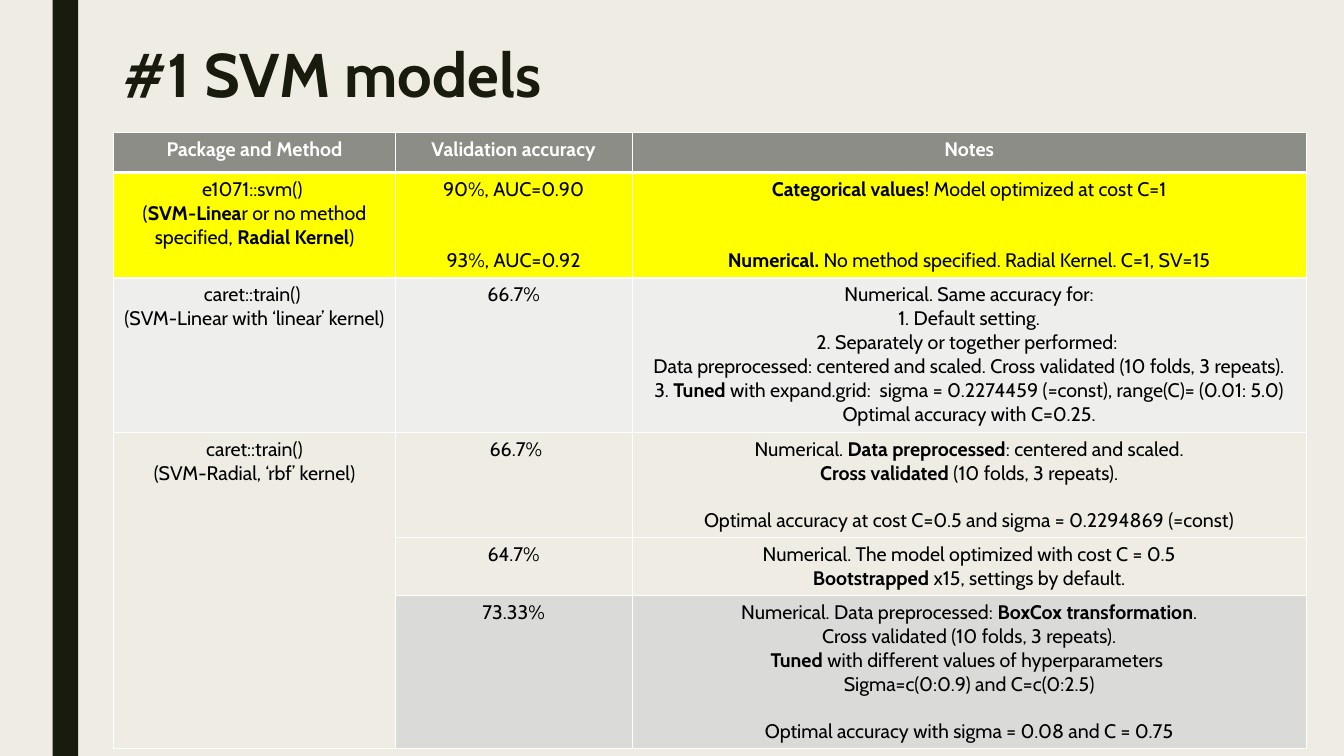
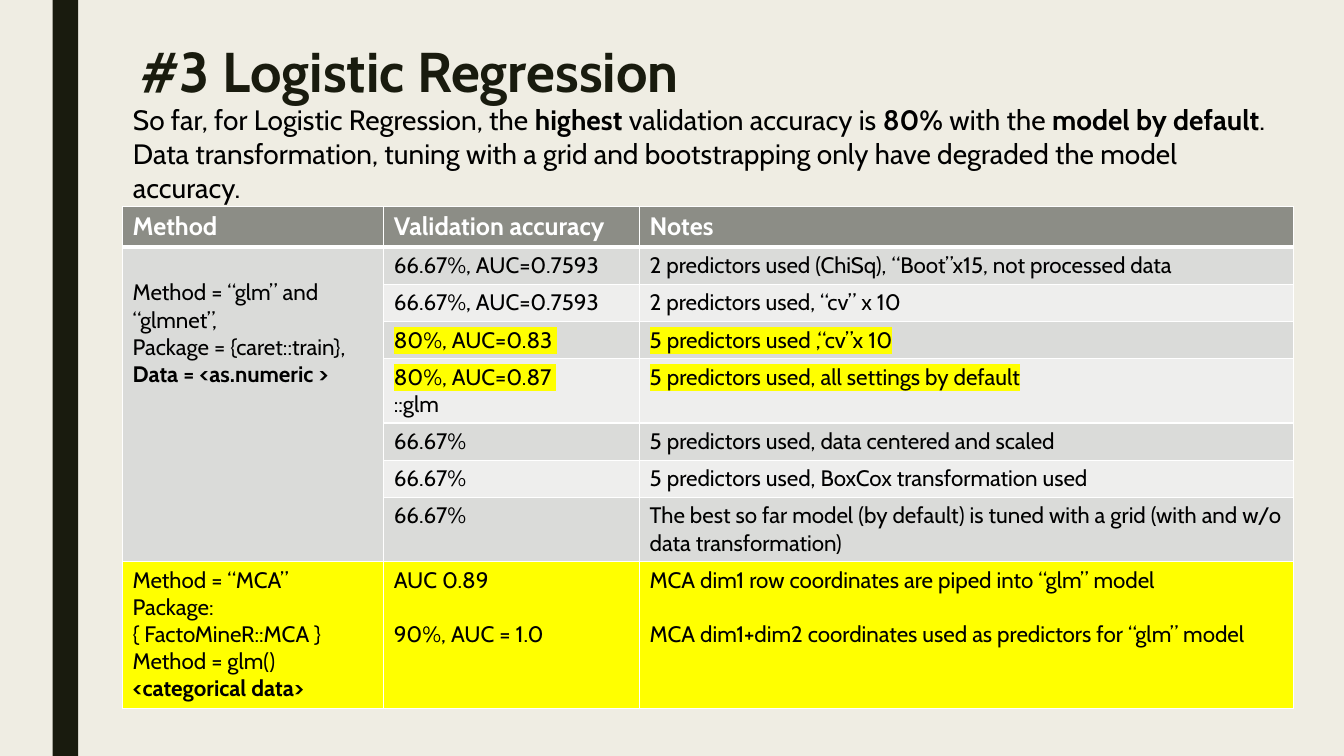
"""Build two slides that compare classification models in tables."""
from dataclasses import dataclass
from typing import Optional

from lxml.etree import SubElement as Sub
from pptx import Presentation
from pptx.dml.color import RGBColor as Rgb
from pptx.enum.shapes import MSO_SHAPE as Kind
from pptx.enum.text import MSO_ANCHOR as Anchor, MSO_AUTO_SIZE as Fit, PP_ALIGN as Align
from pptx.oxml.ns import qn
from pptx.util import Cm, Pt


@dataclass(frozen=True)
class Theme:
    font: str = "Cabin"
    paper: str = "EFEDE3"
    ink: str = "191B0E"
    head: str = "8C8D86"
    white: str = "FFFFFF"
    black: str = "000000"
    glow: str = "FFFF00"
    light: str = "EEEEED"
    dark: str = "DADBD9"
    lead: float = 1.21
    intro: int = 20


@dataclass(frozen=True)
class Cell:
    text: str
    gap: int = 0
    drop: int = 0
    mark: bool = False
    span: int = 1


@dataclass(frozen=True)
class Row:
    fill: str
    high: float
    cells: tuple[Optional[Cell], ...]


@dataclass(frozen=True)
class Grid:
    left: float
    top: float
    wide: tuple[float, ...]
    heads: tuple[str, ...]
    rows: tuple[Row, ...]
    size: int
    top_size: int
    align: Align


T = Theme()


def write(frame, text: str, *, size: int, color: str = T.black, bold: bool = False,
          align: Align = Align.LEFT, space: float = 1, gap: int = 0, mark: bool = False) -> None:
    """Write lines with **bold** parts, a gap before the last, a mark on the first."""
    lines = text.split("\n")
    for i, line in enumerate(lines):
        para = frame.paragraphs[0] if i == 0 else frame.add_paragraph()
        para.alignment, para.line_spacing = align, space
        if gap and i == len(lines) - 1:
            para.space_before = Pt(round(gap * size * T.lead, 1))
        for j, part in enumerate(line.split("**")):
            if not part:
                continue
            run = para.add_run()
            run.text = part
            font = run.font
            font.size, font.bold = Pt(size), bold or j % 2 == 1
            font.color.rgb = Rgb.from_string(color)
            font.name = T.font
            if mark and i == 0:
                props = run._r.get_or_add_rPr()
                glow = Sub(props, qn("a:highlight"))
                Sub(glow, qn("a:srgbClr"), val=T.glow)
                props.find(qn("a:latin")).addprevious(glow)


def paint(cell, fill: str, above: int, below: int) -> None:
    """Fill a cell and draw its white borders."""
    props = cell._tc.get_or_add_tcPr()
    for side, width in (("L", 1), ("R", 1), ("T", above), ("B", below)):
        line = Sub(props, qn(f"a:ln{side}"), w=str(Pt(width)))
        Sub(Sub(line, qn("a:solidFill")), qn("a:srgbClr"), val=T.white)
    cell.fill.solid()
    cell.fill.fore_color.rgb = Rgb.from_string(fill)


def draw(slide, grid: Grid) -> None:
    """Draw a table with a header row."""
    head = Row(T.head, 1.02, tuple(Cell(name) for name in grid.heads))
    rows = (head, *grid.rows)
    table = slide.shapes.add_table(
        len(rows), len(grid.wide), Cm(grid.left), Cm(grid.top),
        Cm(sum(grid.wide)), Cm(sum(row.high for row in rows))).table
    for col, wide in zip(table.columns, grid.wide):
        col.width = Cm(wide)
    for r, row in enumerate(rows):
        table.rows[r].height = Cm(row.high)
        for c, item in enumerate(row.cells):
            cell = table.cell(r, c)
            fill = row.fill if item else T.paper
            paint(cell, fill, 3 if r == 1 else 1, 3 if r == 0 else 1)
            if item is None:
                continue
            if item.span > 1:
                cell.merge(table.cell(r + item.span - 1, c))
            if item.drop:
                cell.margin_top = Cm(0.13) + Pt(item.drop * grid.size * T.lead)
            write(cell.text_frame, item.text, align=grid.align, gap=item.gap, mark=item.mark,
                  size=grid.size if r else grid.top_size,
                  color=T.black if r else T.white, bold=r == 0)


def page(deck, text: str, left: float, high: float, size: int):
    """Add a slide with its side band and title."""
    slide = deck.slides.add_slide(deck.slide_layouts[5])
    band = slide.shapes.add_shape(Kind.RECTANGLE, Cm(1.33), 0, Cm(0.64), deck.slide_height)
    band.shadow.inherit = False
    band.fill.solid()
    band.fill.fore_color.rgb = Rgb.from_string(T.ink)
    band.line.fill.background()
    title = slide.shapes.title
    title.left, title.top, title.width, title.height = Cm(left), Cm(1), Cm(26.67), Cm(high)
    frame = title.text_frame
    frame.auto_size, frame.vertical_anchor, frame.word_wrap = Fit.NONE, Anchor.TOP, True
    write(frame, text, size=size, color=T.ink, bold=True, space=0.89)
    return slide


SVM = Grid(2.87, 3.33, (7.09, 5.97, 16.99),
           ("Package and Method", "Validation accuracy", "Notes"), (
    Row(T.glow, 2.65, (
        Cell("e1071::svm() \n(**SVM-Linea**r or no method specified, **Radial Kernel**)"),
        Cell("90%, AUC=0.90\n93%, AUC=0.92", gap=2),
        Cell("**Categorical values**! Model optimized at cost C=1\n"
             "**Numerical.** No method specified. Radial Kernel. C=1, SV=15", gap=2))),
    Row(T.light, 3.89, (
        Cell("caret::train() \n(SVM-Linear with ‘linear’ kernel)"),
        Cell("66.7%"),
        Cell("Numerical. Same accuracy for:\n1. Default setting.\n"
             "2. Separately or together performed: \n"
             "Data preprocessed: centered and scaled. Cross validated (10 folds, 3 repeats).\n"
             "3. **Tuned** with expand.grid:  sigma = 0.2274459 (=const), range(C)= (0.01: 5.0)\n"
             "Optimal accuracy with C=0.25."))),
    Row(T.paper, 2.65, (
        Cell("caret::train()\n(SVM-Radial, ‘rbf’ kernel)", span=3),
        Cell(" 66.7%"),
        Cell("Numerical. **Data preprocessed**: centered and scaled.\n"
             "**Cross validated** (10 folds, 3 repeats).\n"
             "Optimal accuracy at cost C=0.5 and sigma = 0.2294869 (=const)", gap=1))),
    Row(T.paper, 1.46, (
        None,
        Cell("64.7%"),
        Cell("Numerical. The model optimized with cost C = 0.5\n"
             "**Bootstrapped** x15, settings by default."))),
    Row(T.dark, 3.86, (
        None,
        Cell("73.33%"),
        Cell("Numerical. Data preprocessed: **BoxCox transformation**.\n"
             "Cross validated (10 folds, 3 repeats).\n"
             "**Tuned** with different values of hyperparameters \n"
             "Sigma=c(0:0.9) and C=c(0:2.5)\n"
             "Optimal accuracy with sigma = 0.08 and C = 0.75", gap=1))),
), 14, 14, Align.CENTER)

LOGIT = Grid(3.09, 5.2, (6.58, 6.45, 16.48), ("Method", "Validation accuracy", "Notes"), (
    Row(T.dark, 0.93, (
        Cell("Method = “glm” and “glmnet”,\nPackage = {caret::train},\n"
             "**Data = <as.numeric >**", drop=1, span=7),
        Cell("66.67%, AUC=0.7593"),
        Cell("2 predictors used (ChiSq), “Boot”x15, not processed data"))),
    Row(T.light, 0.93, (
        None, Cell("66.67%, AUC=0.7593"), Cell("2 predictors used, “cv” x 10"))),
    Row(T.dark, 0.93, (
        None, Cell("80%, AUC=0.83 ", mark=True), Cell("5 predictors used ,“cv”x 10", mark=True))),
    Row(T.light, 1.61, (
        None, Cell("80%, AUC=0.87 \n::glm", mark=True),
        Cell("5 predictors used, all settings by default", mark=True))),
    Row(T.dark, 0.93, (
        None, Cell("66.67%"), Cell("5 predictors used, data centered and scaled"))),
    Row(T.light, 0.93, (
        None, Cell("66.67%"), Cell("5 predictors used, BoxCox transformation used"))),
    Row(T.dark, 1.61, (
        None, Cell("66.67%"),
        Cell("The best so far model (by default) is tuned with a grid "
             "(with and w/o data transformation)"))),
    Row(T.glow, 3.69, (
        Cell("Method = “MCA”\nPackage: { FactoMineR::MCA }\nMethod = glm()\n"
             "**<categorical data>**"),
        Cell("AUC 0.89\n90%, AUC = 1.0", gap=1),
        Cell("MCA dim1 row coordinates are piped into “glm” model\n"
             "MCA dim1+dim2 coordinates used as predictors for “glm” model", gap=1))),
), 16, 18, Align.LEFT)

INTRO = ("So far, for Logistic Regression, the **highest** validation accuracy is **80%** "
         "with the **model by default**. Data transformation, tuning with a grid and "
         "bootstrapping only have degraded the model accuracy.")


def main() -> None:
    """Build and save the deck."""
    deck = Presentation()
    deck.slide_width, deck.slide_height = Cm(33.87), Cm(19.05)
    paper = deck.slide_master.background.fill
    paper.solid()
    paper.fore_color.rgb = Rgb.from_string(T.paper)
    first = page(deck, "#1 SVM models", 2.87, 2.2, 44)
    draw(first, SVM)
    second = page(deck, "#3 Logistic Regression", 3.28, 1.19, 40)
    draw(second, LOGIT)
    box = second.shapes.add_textbox(Cm(3.1), Cm(2.47), Cm(29.54), Cm(2.82))
    box.text_frame.word_wrap = True
    write(box.text_frame, INTRO, size=T.intro)
    deck.save("out.pptx")


if __name__ == "__main__":
    main()
